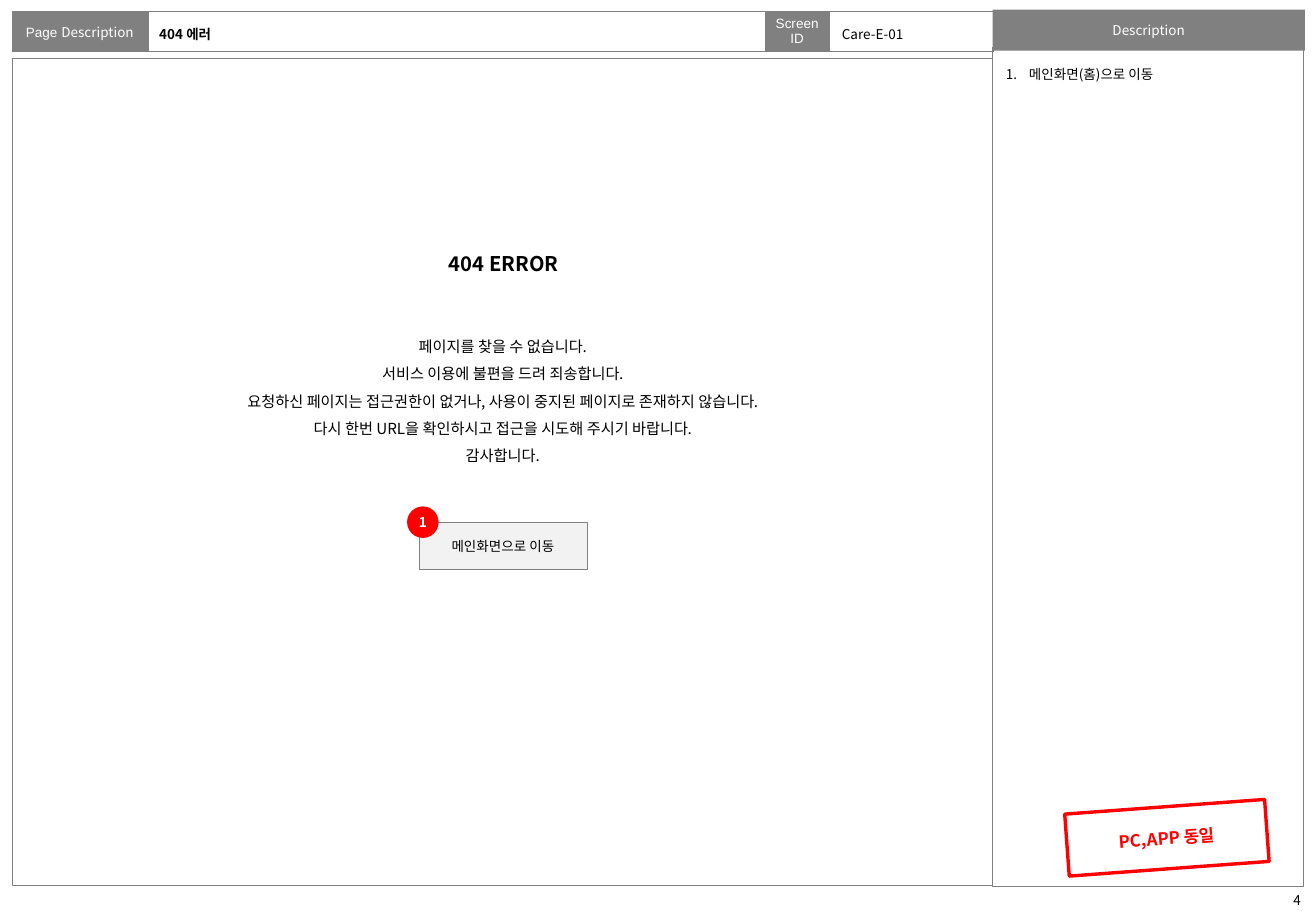
import pptx
import pptx.util
import pptx.dml.color
import pptx.enum.shapes
import pptx.enum.text
import lxml.etree

Cm, Pt = pptx.util.Cm, pptx.util.Pt
RGBColor = pptx.dml.color.RGBColor
KIND = pptx.enum.shapes.MSO_SHAPE
ALIGN = pptx.enum.text.PP_ALIGN
ANCHOR = pptx.enum.text.MSO_ANCHOR

GRAY = RGBColor(0x80, 0x80, 0x80)
PALE = RGBColor(0xF2, 0xF2, 0xF2)
WHITE = RGBColor(0xFF, 0xFF, 0xFF)
BLACK = RGBColor(0, 0, 0)
RED = RGBColor(0xFF, 0, 0)
FONT, LATIN = "Noto Sans CJK KR", "Arial"
NS = "http://schemas.openxmlformats.org/drawingml/2006/main"
THIN = 0.25
PAD = (0.25, 0.13)

# Each header cell: width in cm, runs as (text, font)
HEADER = [
    (2.84, [("Page ", LATIN), ("Description", FONT)]),
    (12.9, []),
    (1.35, [("Screen ID", LATIN)]),
    (3.43, []),
]
MESSAGE = [
    "페이지를 찾을 수 없습니다.",
    "서비스 이용에 불편을 드려 죄송합니다.",
    "요청하신 페이지는 접근권한이 없거나, 사용이 중지된 페이지로 존재하지 않습니다.",
    "다시 한번 URL을 확인하시고 접근을 시도해 주시기 바랍니다.",
    "감사합니다.",
]

# Left, top, width, height in cm
TABLE = (0.25, 0.23, 20.52, 0.84)
FRAME = (0.25, 1.22, 20.5, 17.3)
SIDE = (20.75, 0.99, 6.5, 17.55)
SIDE_HEAD = (20.75, 0.2, 6.53, 0.86)
PAGE = (26.67, 18.52, 0.89, 0.51)
TITLE = (3.23, 0.33, 12.73, 0.76)
SCREEN = (17.35, 0.33, 3.3, 0.76)
NOTE = (20.78, 1.09, 6.48, 17.5)
STAMP = (22.3, 16.87, 4.19, 1.3)
BODY = (0.25, 6.73, 20.52, 3.15)
ERROR = (9.12, 5.13, 2.82, 0.76)
BUTTON = (8.76, 10.92, 3.51, 0.99)
BADGE = (8.51, 10.59, 0.66, 0.66)


def sub(node, tag, **attrs):
    """Append a drawing element to a node."""
    return lxml.etree.SubElement(node, f"{{{NS}}}{tag}", **attrs)


def add_run(para, text, size=8, color=BLACK, bold=False, face=FONT):
    """Add one styled run, with the same face for Korean."""
    run = para.add_run()
    run.text = text
    font = run.font
    font.size, font.bold, font.name = Pt(size), bold, face
    font.color.rgb = color
    sub(font._element, "ea", typeface=face)


def fill_text(frame, lines, align=ALIGN.CENTER, anchor=ANCHOR.MIDDLE,
              pad=PAD, space=None, wrap=True, **style):
    """Write lines as paragraphs into a text frame."""
    frame.word_wrap = wrap
    frame.vertical_anchor = anchor
    frame.margin_left = frame.margin_right = Cm(pad[0])
    frame.margin_top = frame.margin_bottom = Cm(pad[1])
    for num, line in enumerate(lines):
        para = frame.add_paragraph() if num else frame.paragraphs[0]
        para.alignment = align
        if space:
            para.line_spacing = space
        add_run(para, line, **style)


def add_box(box, fill=None, line=None, width=THIN, kind=KIND.RECTANGLE):
    """Draw a flat shape with optional fill and outline."""
    shape = slide.shapes.add_shape(kind, *map(Cm, box))
    shape.shadow.inherit = False
    if fill is None:
        shape.fill.background()
    else:
        shape.fill.solid()
        shape.fill.fore_color.rgb = fill
    if line is None:
        shape.line.fill.background()
    else:
        shape.line.color.rgb = line
        shape.line.width = Pt(width)
    return shape


def add_text(box, lines, **style):
    """Place a text box and return its first paragraph."""
    frame = slide.shapes.add_textbox(*map(Cm, box)).text_frame
    fill_text(frame, lines, **style)
    return frame.paragraphs[0]


def edge_cell(cell):
    """Give a cell thin gray borders, kept before its fill."""
    props = cell._tc.get_or_add_tcPr()
    for num, side in enumerate(("lnL", "lnR", "lnT", "lnB")):
        edge = sub(props, side, w=str(Pt(THIN)))
        sub(sub(edge, "solidFill"), "srgbClr", val=str(GRAY))
        props.insert(num, edge)


def add_header():
    """Build the header table across the top of the page."""
    table = slide.shapes.add_table(1, len(HEADER), *map(Cm, TABLE)).table
    table.first_row = table.horz_banding = False
    for num, (width, runs) in enumerate(HEADER):
        table.columns[num].width = Cm(width)
        cell = table.cell(0, num)
        cell.vertical_anchor = ANCHOR.MIDDLE
        cell.margin_left = cell.margin_right = Cm(0.1)
        cell.margin_top = cell.margin_bottom = Cm(0.1)
        cell.fill.solid()
        cell.fill.fore_color.rgb = GRAY if runs else WHITE
        edge_cell(cell)
        para = cell.text_frame.paragraphs[0]
        para.alignment = ALIGN.CENTER
        for text, face in runs:
            add_run(para, text, color=WHITE, face=face)
        if not runs:
            sub(para._p, "endParaRPr", sz="800")


deck = pptx.Presentation()
deck.slide_width, deck.slide_height = Cm(27.51), Cm(19.05)
slide = deck.slides.add_slide(deck.slide_layouts[6])

# Page frame
add_header()
add_box(FRAME, line=GRAY)
add_box(SIDE, line=GRAY)
fill_text(add_box(SIDE_HEAD, GRAY).text_frame, ["Description"],
          pad=(0, 0), wrap=False, color=WHITE)
add_text(PAGE, ["4"], anchor=ANCHOR.TOP)
add_text(TITLE, ["404 에러"], align=ALIGN.LEFT, pad=(0.1, 0.13), bold=True)
add_text(SCREEN, ["Care-E-01"], align=ALIGN.LEFT)

# Numbered description
note = add_text(NOTE, ["메인화면(홈)으로 이동"], align=ALIGN.LEFT,
                anchor=ANCHOR.TOP, space=1.5)
props = note._p.get_or_add_pPr()
props.set("marL", str(Cm(0.48)))
props.set("indent", str(Cm(-0.48)))
sub(props, "buFont", typeface=FONT)
sub(props, "buAutoNum", type="arabicPeriod")

# Stamp
stamp = add_box(STAMP, WHITE, RED, 2)
stamp.rotation = 355.8
sub(stamp.line._get_or_add_ln(), "round")
fill_text(stamp.text_frame, ["PC,APP 동일"], size=10, color=RED, bold=True)

# Error screen
add_text(BODY, MESSAGE, anchor=ANCHOR.TOP, space=1.5, size=9)
add_text(ERROR, ["404 ERROR"], anchor=ANCHOR.TOP, wrap=False,
         size=12, bold=True)
fill_text(add_box(BUTTON, PALE, GRAY).text_frame, ["메인화면으로 이동"])
fill_text(add_box(BADGE, RED, kind=KIND.OVAL).text_frame, ["1"],
          pad=(0, 0), color=WHITE, bold=True)

deck.save("out.pptx")
